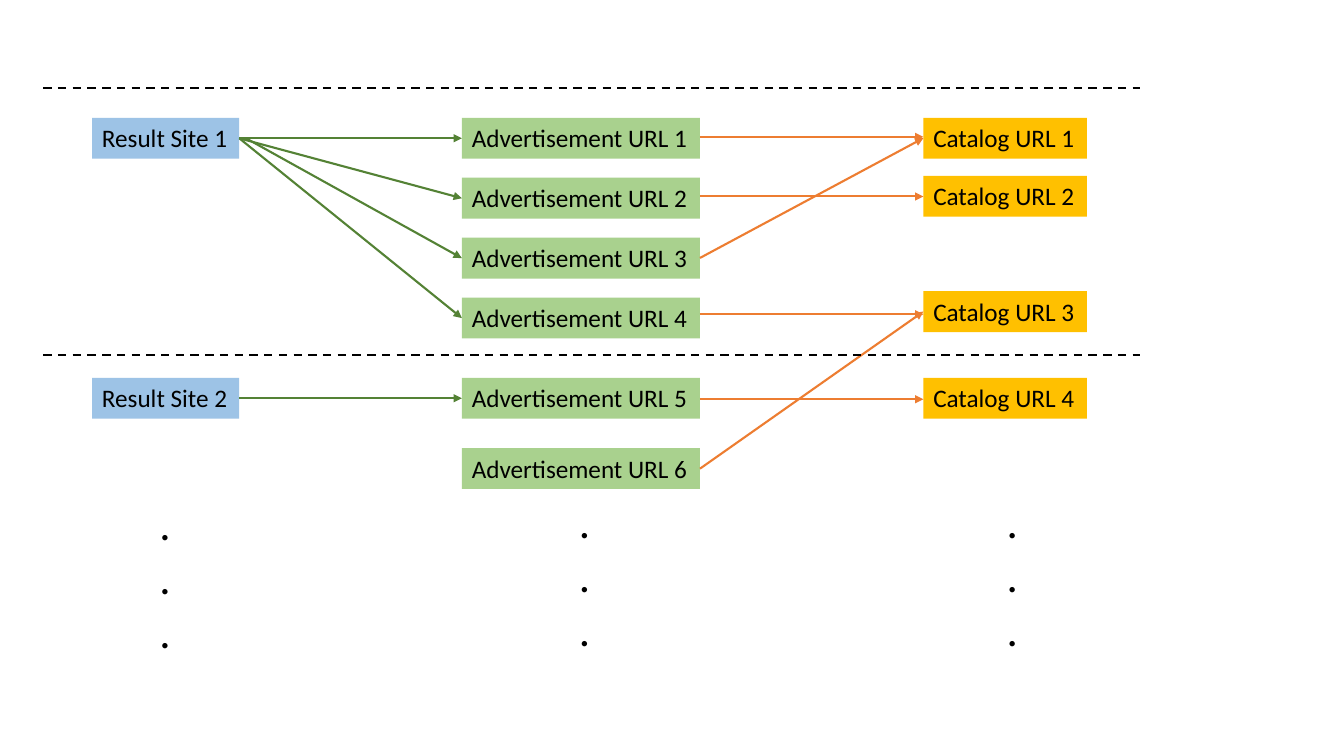
from pptx import Presentation
from pptx.dml.color import RGBColor
from pptx.enum.dml import MSO_LINE
from pptx.enum.shapes import MSO_CONNECTOR, MSO_SHAPE
from pptx.enum.text import MSO_ANCHOR, MSO_AUTO_SIZE, PP_ALIGN
from pptx.oxml.ns import qn
from pptx.util import Cm, Pt
from lxml import etree

RECT, STRAIGHT, DASH = MSO_SHAPE.RECTANGLE, MSO_CONNECTOR.STRAIGHT, MSO_LINE.DASH
LEFT, CENTER = PP_ALIGN.LEFT, PP_ALIGN.CENTER
TOP, MIDDLE = MSO_ANCHOR.TOP, MSO_ANCHOR.MIDDLE
FIT = MSO_AUTO_SIZE.SHAPE_TO_FIT_TEXT

BLACK = RGBColor(0x00, 0x00, 0x00)
BLUE = RGBColor(0x9D, 0xC3, 0xE6)
GREEN = RGBColor(0xA9, 0xD1, 0x8E)
GOLD = RGBColor(0xFF, 0xC0, 0x00)
DARK_GREEN = RGBColor(0x54, 0x82, 0x35)
ORANGE = RGBColor(0xED, 0x7D, 0x31)


def write(tf, text, size=18, font="Calibri", color=BLACK, align=LEFT, anchor=TOP, wrap=False):
    tf.word_wrap = wrap
    tf.auto_size = FIT
    tf.vertical_anchor = anchor
    for i, line in enumerate(text.split("\n")):
        p = tf.paragraphs[0] if i == 0 else tf.add_paragraph()
        p.alignment = align
        r = p.add_run()
        r.text = line
        r.font.size = Pt(size)
        r.font.name = font
        r.font.color.rgb = color


class Diagram:
    box_height = 1.03
    line_width = 1.5

    def __init__(self, slide):
        self.s = slide

    def box(self, text, left, top, width, fill):
        sp = self.s.shapes.add_shape(RECT, Cm(left), Cm(top), Cm(width), Cm(self.box_height))
        sp.shadow.inherit = False
        sp.fill.solid()
        sp.fill.fore_color.rgb = fill
        sp.line.fill.background()
        write(sp.text_frame, text)

    def dots(self, left, top):
        sp = self.s.shapes.add_textbox(Cm(left), Cm(top), Cm(1.2), Cm(4.37))
        write(sp.text_frame, ".\n.\n.", size=32, align=CENTER, anchor=MIDDLE, wrap=True)

    def line(self, x1, y1, x2, y2, color=BLACK):
        c = self.s.shapes.add_connector(STRAIGHT, Cm(x1), Cm(y1), Cm(x2), Cm(y2))
        c.line.color.rgb = color
        c.line.width = Pt(self.line_width)
        etree.SubElement(c._element.spPr, qn("a:effectLst"))
        return c

    def divider(self, y):
        self.line(1.09, y, 28.73, y).line.dash_style = DASH

    def arrow(self, x1, y1, x2, y2, color):
        c = self.line(x1, y1, x2, y2, color)
        etree.SubElement(c.line._get_or_add_ln(), qn("a:tailEnd"), type="triangle")


prs = Presentation()
prs.slide_width, prs.slide_height = Cm(33.87), Cm(19.05)
d = Diagram(prs.slides.add_slide(prs.slide_layouts[6]))

# Columns of boxes: label, left, width, fill, tops
ROW_1, ROW_STEP, ROW_5 = 2.97, 1.51, 9.52
SITE_X, SITE_W = 2.32, 3.71
AD_X, AD_W = 11.64, 6.0
CATALOG_X, CATALOG_W = 23.27, 4.12
ad_tops = [ROW_1 + i * ROW_STEP for i in range(4)] + [ROW_5, 11.29]
columns = [
    ("Result Site", SITE_X, SITE_W, BLUE, [ROW_1, ROW_5]),
    ("Advertisement URL", AD_X, AD_W, GREEN, ad_tops),
    ("Catalog URL", CATALOG_X, CATALOG_W, GOLD, [ROW_1, 4.43, 7.34, ROW_5]),
]
for label, left, width, fill, tops in columns:
    for n, top in enumerate(tops, 1):
        d.box(f"{label} {n}", left, top, width, fill)

# Arrows from result sites to advertisements
site_right, ad_right = SITE_X + SITE_W, AD_X + AD_W
ad_mids = [top + d.box_height / 2 for top in ad_tops]
for start_x, mid in zip([site_right, site_right, 6.2, site_right], ad_mids):
    d.arrow(start_x, ad_mids[0], AD_X, mid, DARK_GREEN)
d.arrow(site_right, ad_mids[4], AD_X, ad_mids[4], DARK_GREEN)

# Arrows from advertisements to catalogs
for y1, y2 in [(3.45, 3.45), (4.95, 4.95), (6.5, 3.48), (7.92, 7.92), (10.06, 10.06), (11.81, 7.85)]:
    d.arrow(ad_right, y1, CATALOG_X, y2, ORANGE)

# Dividers between result sites
for y in (2.21, 8.95):
    d.divider(y)

# Continuation dots
for left, top in [(3.56, 12.34), (14.13, 12.29), (24.91, 12.29)]:
    d.dots(left, top)

prs.save("out.pptx")
